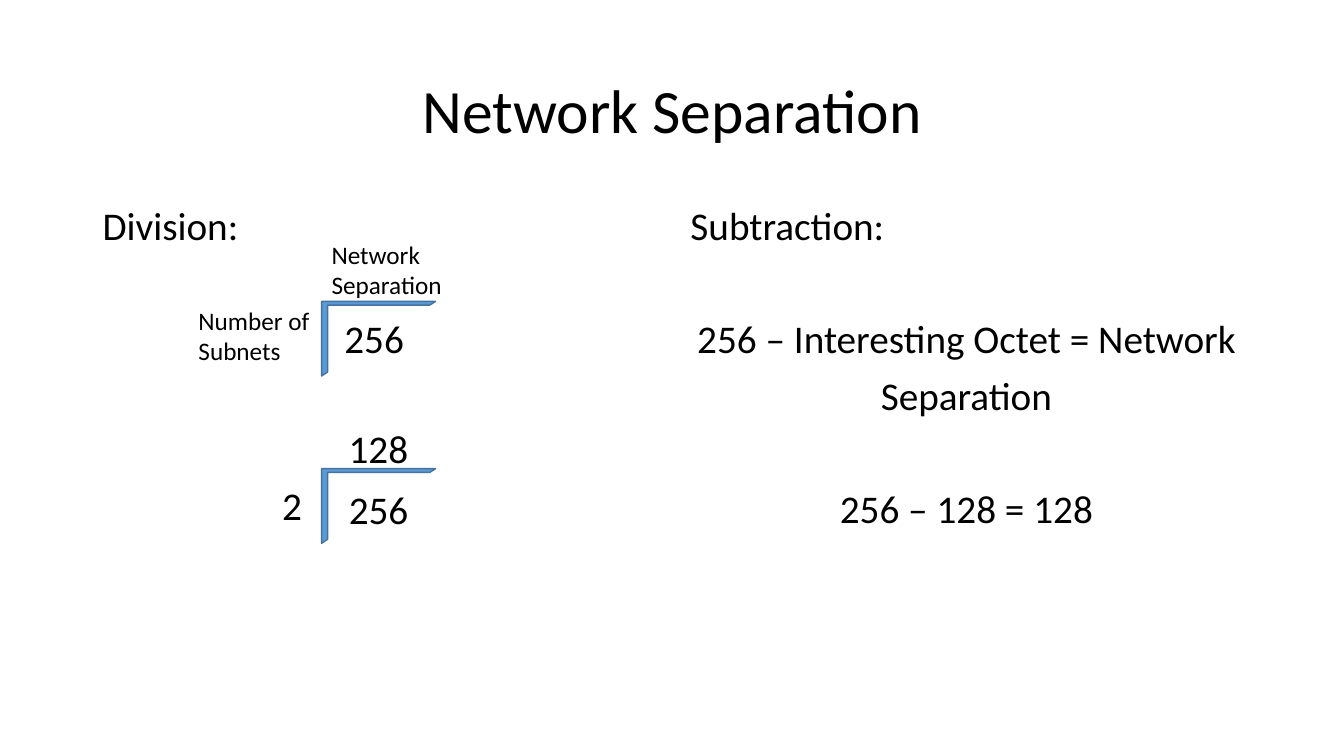
from dataclasses import dataclass

from pptx import Presentation
from pptx.dml.color import RGBColor
from pptx.enum.shapes import MSO_SHAPE
from pptx.enum.text import MSO_ANCHOR, MSO_AUTO_SIZE, PP_ALIGN
from pptx.slide import Slide
from pptx.text.text import TextFrame
from pptx.util import Inches, Pt

BLACK = RGBColor(0x00, 0x00, 0x00)
BRACKET_BLUE = RGBColor(0x5B, 0x9B, 0xD5)
BRACKET_EDGE = RGBColor(0x43, 0x73, 0x9E)
FONT = "Calibri"
BODY_SIZE = 28
LINE_SPACING = 0.9
PARAGRAPH_GAP = 10
ROW_STEP = 40.75  # one body row in points, its gap included


@dataclass(frozen=True)
class Row:
    """One body line and the number of open rows above it."""
    text: str
    open_rows: int = 0
    align: PP_ALIGN = PP_ALIGN.CENTER


@dataclass(frozen=True)
class Column:
    """A method of calculation, set in rows."""
    left: float
    rows: tuple[Row, ...]


@dataclass(frozen=True)
class Label:
    """A note beside a division bracket."""
    text: str
    left: float
    top: float
    width: float
    height: float
    size: int


COLUMNS = (
    Column(0.92, (
        Row("Division:", align=PP_ALIGN.LEFT),
        Row("256 ", 1),
        Row("256", 2),
    )),
    Column(6.75, (
        Row("Subtraction:", align=PP_ALIGN.LEFT),
        Row("256 – Interesting Octet = Network", 1),
        Row("Separation"),
        Row("256 – 128 = 128", 1),
    )),
)
LABELS = (
    Label("Number of\nSubnets", 1.87, 2.98, 1.32, 0.71, 18),
    Label("Network\nSeparation", 3.19, 2.32, 1.31, 0.71, 18),
    Label("2", 2.7, 4.73, 0.4, 0.57, BODY_SIZE),
    Label("128", 3.36, 4.16, 0.8, 0.57, BODY_SIZE),
)
BRACKET_TOPS = (2.99, 4.65)


def add_text(slide: Slide, text: str, left: float, top: float,
             width: float, height: float, size: int) -> TextFrame:
    """Add a wrapping text box, one paragraph per line of text."""
    box = slide.shapes.add_textbox(
        Inches(left), Inches(top), Inches(width), Inches(height))
    frame = box.text_frame
    frame.word_wrap = True
    frame.text = text
    for paragraph in frame.paragraphs:
        for run in paragraph.runs:
            run.font.name = FONT
            run.font.size = Pt(size)
            run.font.color.rgb = BLACK
    return frame


def add_title(slide: Slide) -> None:
    """Add the centred slide title."""
    frame = add_text(slide, "Network Separation", 0.92, 0.4, 11.5, 1.45, 44)
    frame.vertical_anchor = MSO_ANCHOR.MIDDLE
    frame.paragraphs[0].alignment = PP_ALIGN.CENTER
    frame.paragraphs[0].line_spacing = LINE_SPACING


def add_column(slide: Slide, column: Column) -> None:
    """Add a method column, opening rows with space before paragraphs."""
    text = "\n".join(row.text for row in column.rows)
    frame = add_text(slide, text, column.left, 2, 5.67, 4.76, BODY_SIZE)
    for paragraph, row in zip(frame.paragraphs, column.rows):
        paragraph.alignment = row.align
        paragraph.line_spacing = LINE_SPACING
        paragraph.space_before = Pt(PARAGRAPH_GAP + row.open_rows * ROW_STEP)


def add_bracket(slide: Slide, top: float) -> None:
    """Add a long-division bracket."""
    bracket = slide.shapes.add_shape(
        MSO_SHAPE.HALF_FRAME,
        Inches(3.19), Inches(top), Inches(1.13), Inches(0.74))
    bracket.adjustments[0] = 0.05
    bracket.adjustments[1] = 0.08
    bracket.shadow.inherit = False
    bracket.fill.solid()
    bracket.fill.fore_color.rgb = BRACKET_BLUE
    bracket.line.color.rgb = BRACKET_EDGE
    bracket.line.width = Pt(1)


def add_label(slide: Slide, label: Label) -> None:
    """Add a non-wrapping label that fits its text."""
    frame = add_text(slide, label.text, label.left, label.top,
                     label.width, label.height, label.size)
    frame.word_wrap = False
    frame.auto_size = MSO_AUTO_SIZE.SHAPE_TO_FIT_TEXT


def main() -> None:
    """Build and save the slide."""
    deck = Presentation()
    deck.slide_width, deck.slide_height = Inches(13.33), Inches(7.5)
    slide = deck.slides.add_slide(deck.slide_layouts[6])
    add_title(slide)
    for column in COLUMNS:
        add_column(slide, column)
    for top in BRACKET_TOPS:
        add_bracket(slide, top)
    for label in LABELS:
        add_label(slide, label)
    deck.save("out.pptx")


main()
